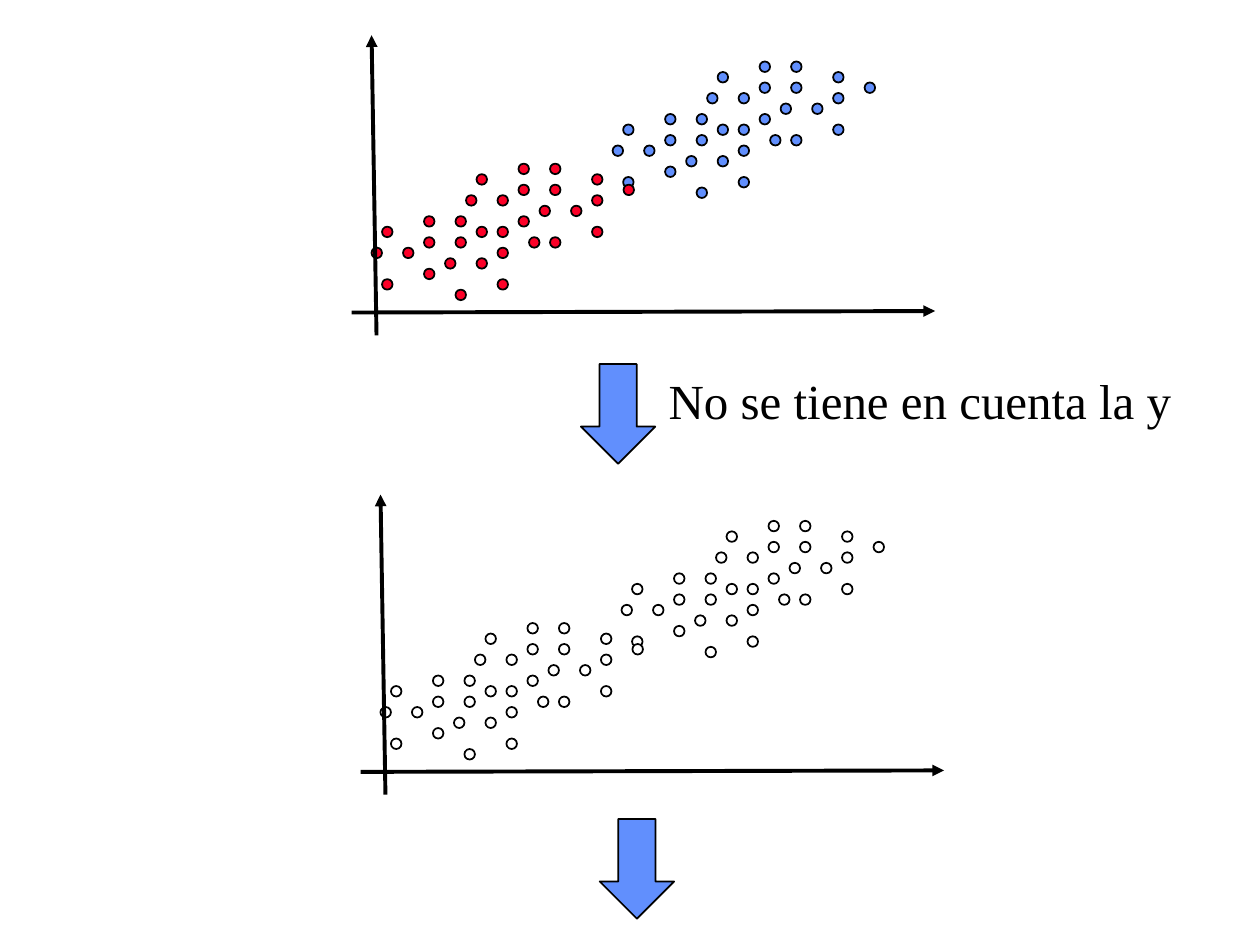
from lxml.etree import SubElement
from pptx import Presentation
from pptx.dml.color import RGBColor
from pptx.enum.shapes import MSO_CONNECTOR, MSO_SHAPE
from pptx.oxml.ns import qn
from pptx.util import Cm, Pt

BLACK = RGBColor(0x00, 0x00, 0x00)
WHITE = RGBColor(0xFF, 0xFF, 0xFF)
BLUE = RGBColor(0x61, 0x8F, 0xFD)
RED = RGBColor(0xFC, 0x01, 0x28)

# Dots sit on a grid of twelfths of an inch, given here in centimetres.
STEP = 2.54 / 12

# Column and row of each dot; every cluster has the same layout.
CLUSTER = [
    (10, 1), (12, 3), (14, 5), (17, 0), (10, 6), (14, 2), (14, 0), (9, 3),
    (17, 2), (19, 4), (21, 6), (24, 2), (17, 7), (21, 3), (21, 1), (16, 4),
    (1, 6), (3, 8), (5, 10), (8, 5), (1, 11), (5, 7), (5, 5), (0, 8),
    (8, 7), (10, 9), (12, 11), (15, 7), (8, 12), (12, 8), (12, 6), (7, 9),
]


class SlideBuilder:
    def __init__(self, page, font="Times New Roman"):
        self.page = page
        self.font = font

    def outlined(self, shapes, kind, left, top, width, height, color):
        shape = shapes.add_shape(kind, Cm(left), Cm(top), Cm(width), Cm(height))
        shape.shadow.inherit = False
        shape.fill.solid()
        shape.fill.fore_color.rgb = color
        shape.line.color.rgb = BLACK
        shape.line.width = Pt(1)

    def cluster(self, left, top, color):
        group = self.page.shapes.add_group_shape()
        for column, row in CLUSTER:
            self.outlined(group.shapes, MSO_SHAPE.OVAL, left + column * STEP,
                          top + row * STEP, STEP, STEP, color)

    def axis(self, x1, y1, x2, y2):
        line = self.page.shapes.add_connector(
            MSO_CONNECTOR.STRAIGHT, Cm(x1), Cm(y1), Cm(x2), Cm(y2))
        line.line.color.rgb = BLACK
        line.line.width = Pt(2.25)
        SubElement(line.line._get_or_add_ln(), qn("a:tailEnd"), type="triangle")
        SubElement(line._element.spPr, qn("a:effectLst"))

    def scatter(self, dx, dy, upper_color, lower_color):
        """Draw two clusters and their axes, shifted by dx and dy."""
        self.cluster(12.35 + dx, 1.24 + dy, upper_color)
        self.cluster(7.49 + dx, 3.3 + dy, lower_color)
        self.axis(7.09 + dx, 6.3 + dy, 18.85 + dx, 6.27 + dy)
        self.axis(7.59 + dx, 6.76 + dy, 7.49 + dx, 0.71 + dy)

    def down_arrow(self, left, top):
        self.outlined(self.page.shapes, MSO_SHAPE.DOWN_ARROW,
                      left, top, 1.5, 2.01, BLUE)

    def text(self, left, top, width, height, words, size):
        box = self.page.shapes.add_textbox(Cm(left), Cm(top), Cm(width), Cm(height))
        box.text_frame.word_wrap = True
        para = box.text_frame.paragraphs[0]
        span = para.add_run()
        span.text = words
        span.font.name = self.font
        span.font.size = Pt(size)
        span.font.color.rgb = BLACK


def main():
    deck = Presentation()
    deck.slide_width, deck.slide_height = Cm(25.4), Cm(19.05)
    builder = SlideBuilder(deck.slides.add_slide(deck.slide_layouts[6]))
    builder.scatter(0, 0, BLUE, RED)
    builder.down_arrow(11.71, 7.34)
    builder.scatter(0.18, 9.26, WHITE, WHITE)
    builder.text(13.23, 7.34, 16.89, 1.45, "No se tiene en cuenta la y", 28)
    builder.down_arrow(12.09, 16.51)
    deck.save("out.pptx")


if __name__ == "__main__":
    main()
